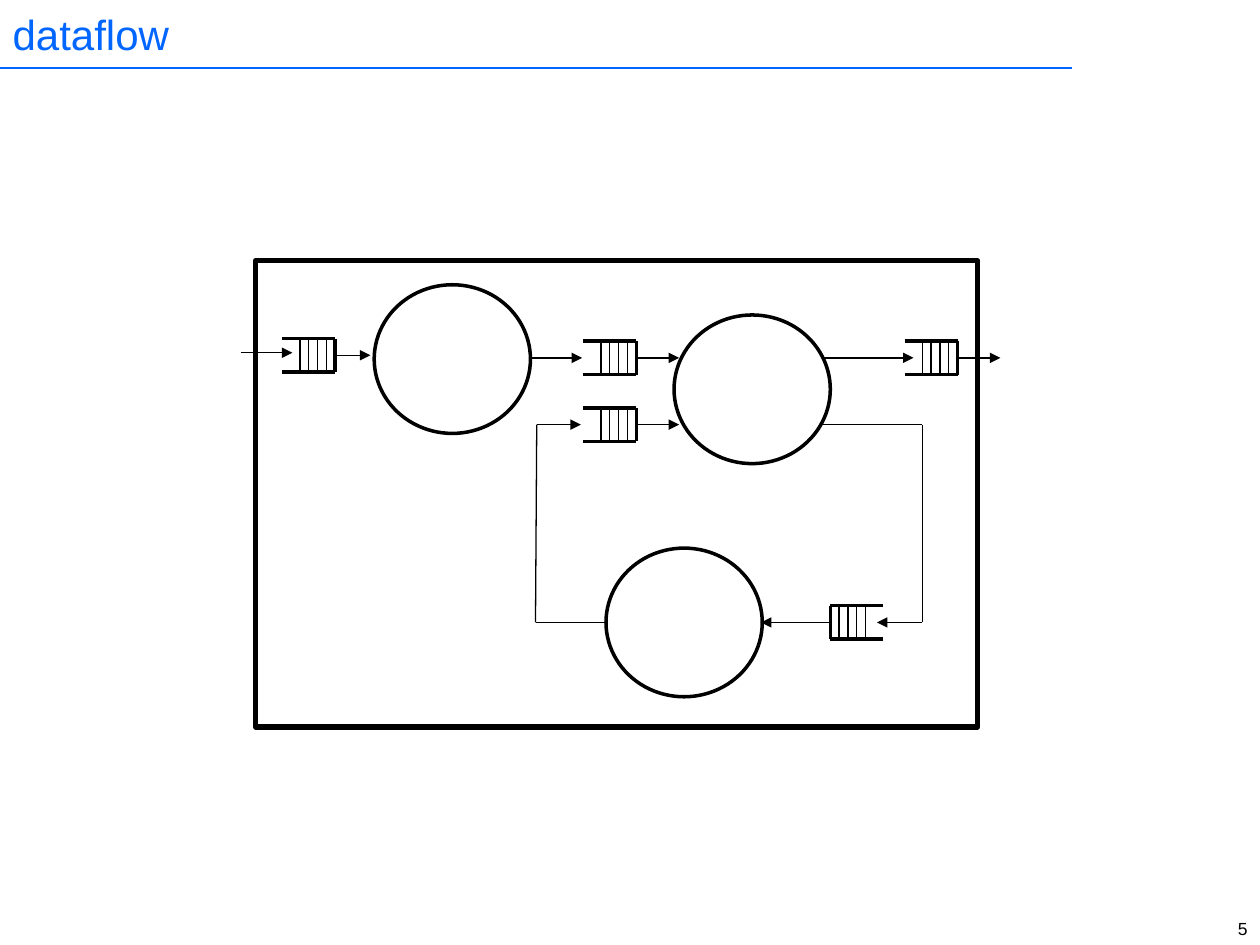
from dataclasses import dataclass

from lxml import etree
from pptx import Presentation
from pptx.dml.color import RGBColor
from pptx.enum.shapes import MSO_CONNECTOR, MSO_SHAPE
from pptx.enum.text import MSO_ANCHOR, PP_ALIGN
from pptx.oxml.ns import qn
from pptx.util import Inches, Pt

STRAIGHT = MSO_CONNECTOR.STRAIGHT
RECTANGLE, OVAL = MSO_SHAPE.RECTANGLE, MSO_SHAPE.OVAL
MIDDLE, TOP = MSO_ANCHOR.MIDDLE, MSO_ANCHOR.TOP
LEFT, RIGHT = PP_ALIGN.LEFT, PP_ALIGN.RIGHT


@dataclass(frozen=True)
class Theme:
    accent: RGBColor = RGBColor(0x00, 0x66, 0xFF)
    ink: RGBColor = RGBColor(0, 0, 0)
    paper: RGBColor = RGBColor(255, 255, 255)
    font: str = "Arial"
    title_size: int = 24
    number_size: int = 10
    thin: float = 0.75
    rule: float = 1
    bold: float = 2
    heavy: float = 3


THEME = Theme()
SLIDE_WIDTH, SLIDE_HEIGHT = Inches(10), Inches(7.5)

# All places and sizes are percentages of the slide's width and height.
TITLE, TITLE_BOX = "dataflow", (0, 0, 86.5, 7.07)
PAGE_NUMBER, NUMBER_BOX = "5", (90.7, 96.53, 9.3, 3.07)
TITLE_RULE = [(0, 7.2), (85.1, 7.2)]
FRAME_BOX = (20.3, 27.6, 57.3, 49.33)

ENTRY, INPUT, FORWARD, FEEDBACK, RETURN = 37.33, 37.6, 37.87, 44.93, 65.87

PROCESS_SIZE = (12.4, 15.73)
PROCESSES = [(29.7, 30.13), (53.5, 33.33), (48.1, 58)]

QUEUE_LENGTH, QUEUE_HEIGHT = 4.2, 3.55
SLOT_WIDTH, SLOT_COUNT = 0.7, 4
OPENS_LEFT, OPENS_RIGHT = -1, 1
QUEUES = [
    (26.6, INPUT, OPENS_LEFT),
    (50.5, FORWARD, OPENS_LEFT),
    (50.5, FEEDBACK, OPENS_LEFT),
    (76, FORWARD, OPENS_LEFT),
    (65.9, RETURN, OPENS_RIGHT),
]

FLOWS = [
    [(19.1, ENTRY), (23.2, ENTRY)],
    [(26.6, INPUT), (29.4, INPUT)],
    [(42.1, FORWARD), (46.2, FORWARD)],
    [(50.5, FORWARD), (53.9, FORWARD)],
    [(65.3, FORWARD), (72.5, FORWARD)],
    [(76, FORWARD), (79.4, FORWARD)],
    [(50.5, FEEDBACK), (53.9, FEEDBACK)],
    [(65.2, FEEDBACK), (73.2, FEEDBACK), (73.2, RETURN), (69.6, RETURN)],
    [(65.8, RETURN), (60.4, RETURN)],
    [(48.1, RETURN), (42.5, RETURN), (42.6, FEEDBACK), (46.1, FEEDBACK)],
]


def across(share):
    return round(SLIDE_WIDTH * share / 100)


def down(share):
    return round(SLIDE_HEIGHT * share / 100)


def place(box):
    left, top, width, height = box
    return across(left), down(top), across(width), down(height)


def write(holder, text, size, color, align=LEFT, anchor=TOP):
    frame = holder.text_frame
    frame.word_wrap = True
    frame.vertical_anchor = anchor
    frame.margin_left = frame.margin_right = Inches(0.1)
    frame.margin_top = frame.margin_bottom = Inches(0.05)
    paragraph = frame.paragraphs[0]
    paragraph.text = text
    paragraph.alignment = align
    font = paragraph.font
    font.name, font.size, font.color.rgb = THEME.font, Pt(size), color


def draw_path(shapes, points, width=THEME.thin, color=THEME.ink, arrow=False):
    for (x1, y1), (x2, y2) in zip(points, points[1:]):
        segment = shapes.add_connector(
            STRAIGHT, across(x1), down(y1), across(x2), down(y2))
        segment.line.width = Pt(width)
        segment.line.color.rgb = color
        etree.SubElement(segment._element.spPr, qn("a:effectLst"))
    if arrow:
        etree.SubElement(segment.line._get_or_add_ln(),
                         qn("a:tailEnd"), type="triangle")


def draw_outline(shapes, kind, box, width):
    outline = shapes.add_shape(kind, *place(box))
    outline.shadow.inherit = False
    outline.line.width = Pt(width)
    outline.line.color.rgb = THEME.ink
    outline.fill.background()
    return outline


def draw_queue(shapes, wall, center, opening):
    top, bottom = center - QUEUE_HEIGHT / 2, center + QUEUE_HEIGHT / 2
    mouth = wall + opening * QUEUE_LENGTH
    for rail in ([(mouth, top), (wall, top)],
                 [(wall, top), (wall, bottom)],
                 [(mouth, bottom), (wall, bottom)]):
        draw_path(shapes, rail, THEME.bold)
    for slot in range(1, SLOT_COUNT + 1):
        x = wall + opening * slot * SLOT_WIDTH
        draw_path(shapes, [(x, top), (x, bottom)])


def main():
    deck = Presentation()
    deck.slide_width, deck.slide_height = SLIDE_WIDTH, SLIDE_HEIGHT
    shapes = deck.slides.add_slide(deck.slide_layouts[5]).shapes

    draw_path(shapes, TITLE_RULE, THEME.rule, THEME.accent)
    title = shapes.title
    title.left, title.top, title.width, title.height = place(TITLE_BOX)
    write(title, TITLE, THEME.title_size, THEME.accent, anchor=MIDDLE)

    frame = draw_outline(shapes, RECTANGLE, FRAME_BOX, THEME.heavy)
    frame.fill.solid()
    frame.fill.fore_color.rgb = THEME.paper
    for queue in QUEUES:
        draw_queue(shapes, *queue)
    for flow in FLOWS:
        draw_path(shapes, flow, arrow=True)
    for corner in PROCESSES:
        draw_outline(shapes, OVAL, corner + PROCESS_SIZE, THEME.bold)

    number = shapes.add_textbox(*place(NUMBER_BOX))
    write(number, PAGE_NUMBER, THEME.number_size, THEME.ink, align=RIGHT)
    deck.save("out.pptx")


if __name__ == "__main__":
    main()
